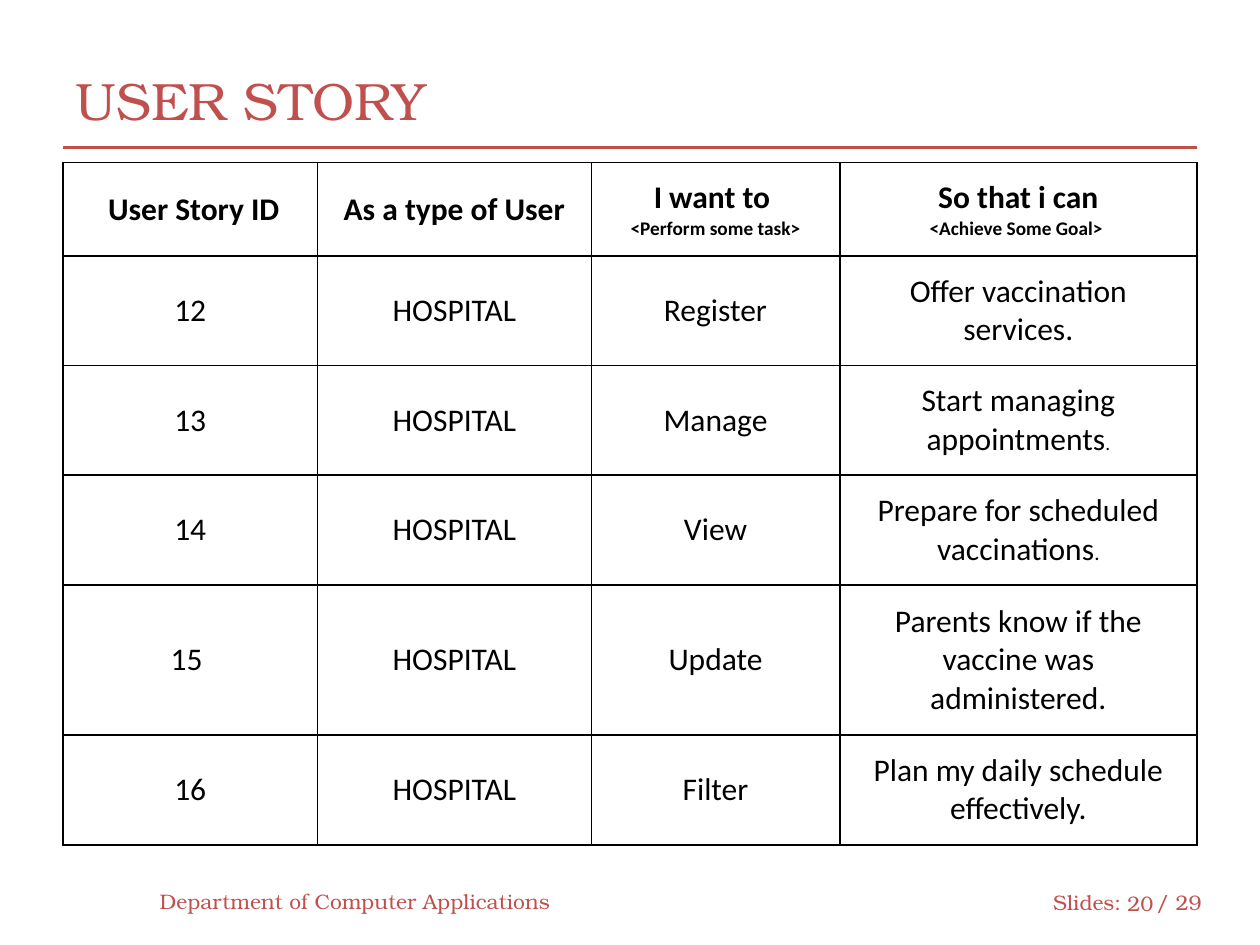
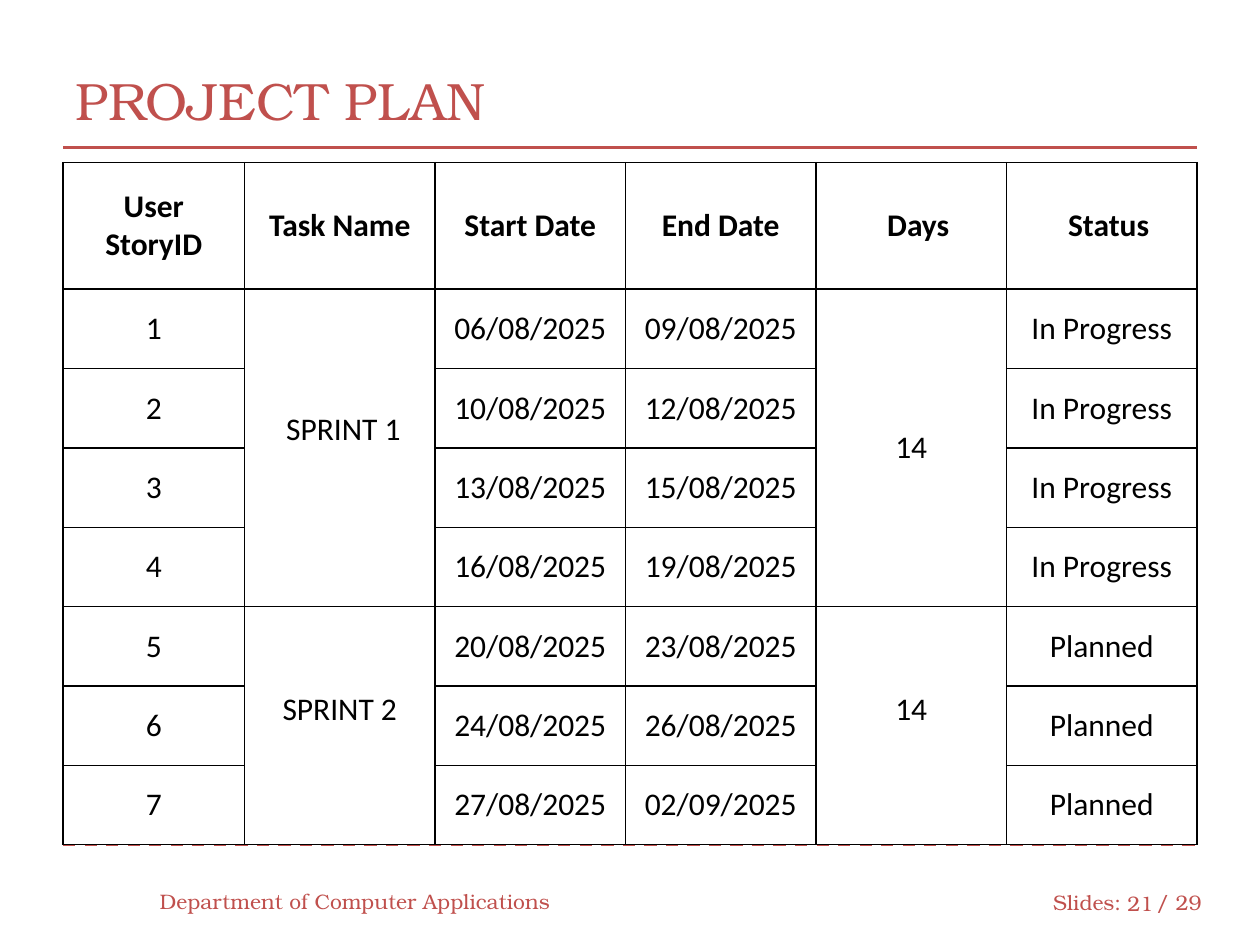
from dataclasses import dataclass

from lxml.etree import SubElement
from pptx import Presentation
from pptx.dml.color import RGBColor
from pptx.enum.dml import MSO_LINE
from pptx.enum.shapes import MSO_CONNECTOR
from pptx.enum.text import MSO_ANCHOR, PP_ALIGN
from pptx.oxml.ns import qn
from pptx.util import Cm, Pt


@dataclass(frozen=True)
class Theme:
    """Colours, fonts and type sizes shared by the slides."""

    accent: str = "C0504D"
    ink: str = "000000"
    paper: str = "FFFFFF"
    display_font: str = "TeX Gyre Bonum"
    table_font: str = "Calibri"
    title_size: float = 30
    footer_size: float = 12
    cell_size: float = 18
    note_size: float = 11
    rule_width: float = 1.75
    border_width: float = 1


@dataclass(frozen=True)
class Box:
    """A region of the slide in centimetres."""

    left: float
    top: float
    width: float
    height: float

    def lengths(self):
        """Return the region as lengths for python-pptx."""
        return Cm(self.left), Cm(self.top), Cm(self.width), Cm(self.height)


@dataclass(frozen=True)
class Cell:
    """Table cell text with optional small parts and optical offsets."""

    text: str
    note: str = ""
    tail: str = ""
    tail_size: float = 11
    indent: float = 0
    lift: float = 0
    rows: int = 1


THEME = Theme()
TITLE = Box(1.27, 0.84, 22.86, 2.34)
TABLE = Box(1.27, 3.28, 22.86, 13.75)
FOOTER = Box(1.27, 17.02, 22.86, 2.03)
TITLE_RULE_TOP = 2.97
CELL_MARGIN = 0.25
TOTAL_SLIDES = 29

STORY_COLUMNS = [5.13, 5.52, 5.01, 7.2]
STORY_ROWS = [1.88, 2.21, 2.21, 2.21, 3.03, 2.21]
STORY_HEADER = [
    Cell(" User Story ID"),
    Cell("As a type of User"),
    Cell("I want to ", note="<Perform some task>"),
    Cell("So that i can", note="<Achieve Some Goal> "),
]
STORIES = [
    ("12", "Register", Cell("Offer vaccination services.")),
    ("13", "Manage", Cell("Start managing appointments", tail=".")),
    ("14", "View", Cell("Prepare for scheduled vaccinations", tail=".", tail_size=12)),
    ("15 ", "Update", Cell("Parents know if the vaccine was administered.")),
    ("16", "Filter", Cell("Plan my daily schedule effectively.")),
]

PLAN_COLUMNS = [3.66] + [3.84] * 5
PLAN_ROWS = [2.55] + [1.6] * 7
PLAN_HEADER = [
    Cell("User\nStoryID"),
    Cell("Task Name"),
    Cell("Start Date"),
    Cell("End Date"),
    Cell("Days", indent=0.28),
    Cell("Status", indent=0.28),
]
SPRINTS = [
    (
        Cell(" SPRINT 1", lift=0.74, rows=4),
        Cell("14", rows=4),
        "In Progress",
        [
            ("06/08/2025", "09/08/2025"),
            ("10/08/2025", "12/08/2025"),
            ("13/08/2025", "15/08/2025"),
            ("16/08/2025", "19/08/2025"),
        ],
    ),
    (
        Cell("SPRINT 2", lift=0.65, rows=3),
        Cell("14", lift=0.65, rows=3),
        "Planned",
        [
            ("20/08/2025", "23/08/2025"),
            ("24/08/2025", "26/08/2025"),
            ("27/08/2025", "02/09/2025"),
        ],
    ),
]


def write_text(paragraph, text, *, size, font=THEME.display_font,
               color=THEME.accent, bold=False, align=PP_ALIGN.LEFT):
    """Append one formatted run to a paragraph."""
    paragraph.alignment = align
    run = paragraph.add_run()
    run.text = text
    run.font.size = Pt(size)
    run.font.name = font
    run.font.bold = bold
    run.font.color.rgb = RGBColor.from_string(color)


def add_label(slide, box, text, align=PP_ALIGN.LEFT):
    """Add a footer label in the given box."""
    frame = slide.shapes.add_textbox(*box.lengths()).text_frame
    frame.word_wrap = True
    frame.vertical_anchor = MSO_ANCHOR.MIDDLE
    write_text(frame.paragraphs[0], text, size=THEME.footer_size, align=align)


def add_rule(slide, box, top, dash=None):
    """Draw a horizontal rule across the width of a box."""
    rule = slide.shapes.add_connector(
        MSO_CONNECTOR.STRAIGHT,
        Cm(box.left), Cm(top), Cm(box.left + box.width), Cm(top),
    )
    rule.line.color.rgb = RGBColor.from_string(THEME.accent)
    rule.line.width = Pt(THEME.rule_width)
    if dash is not None:
        rule.line.dash_style = dash
    SubElement(rule._element.spPr, qn("a:effectLst"))


def add_heading(slide, box, text):
    """Fill the title placeholder and underline it."""
    title = slide.shapes.title
    title.left, title.top, title.width, title.height = box.lengths()
    title.text_frame.vertical_anchor = MSO_ANCHOR.MIDDLE
    write_text(title.text_frame.paragraphs[0], text, size=THEME.title_size)
    add_rule(slide, box, TITLE_RULE_TOP)


def add_footer(slide, box, number):
    """Place the dashed rule, department and slide count."""
    add_rule(slide, box, box.top, MSO_LINE.DASH)
    labels = [
        (1.7, 0.63, 8.46, "Department of Computer Applications", PP_ALIGN.LEFT),
        (19.71, 0.66, 1.91, "Slides:", PP_ALIGN.LEFT),
        (21.16, 0.68, 1.07, str(number), PP_ALIGN.RIGHT),
        (21.79, 0.66, 1.47, f"/ {TOTAL_SLIDES}", PP_ALIGN.LEFT),
    ]
    for left, top, width, text, align in labels:
        add_label(slide, Box(box.left + left, box.top + top, width, 1.02), text, align)


def style_cell(cell):
    """Give a table cell thin borders and a plain fill."""
    properties = cell._tc.get_or_add_tcPr()
    for side in ("lnL", "lnR", "lnT", "lnB"):
        line = SubElement(properties, qn(f"a:{side}"), w=str(Pt(THEME.border_width)))
        fill = SubElement(line, qn("a:solidFill"))
        SubElement(fill, qn("a:srgbClr"), val=THEME.ink)
    cell.fill.solid()
    cell.fill.fore_color.rgb = RGBColor.from_string(THEME.paper)


def fill_cell(cell, content, bold):
    """Write the content of one table cell."""
    cell.vertical_anchor = MSO_ANCHOR.MIDDLE
    cell.margin_left = Cm(CELL_MARGIN + content.indent)
    cell.margin_right = cell.margin_top = Cm(CELL_MARGIN)
    cell.margin_bottom = Cm(CELL_MARGIN + content.lift)
    style = dict(font=THEME.table_font, color=THEME.ink, bold=bold, align=PP_ALIGN.CENTER)
    frame = cell.text_frame
    paragraph = frame.paragraphs[0]
    for index, line in enumerate(content.text.split("\n")):
        if index:
            paragraph = frame.add_paragraph()
        write_text(paragraph, line, size=THEME.cell_size, **style)
    if content.tail:
        write_text(paragraph, content.tail, size=content.tail_size, **style)
    if content.note:
        write_text(frame.add_paragraph(), content.note, size=THEME.note_size, **style)


def add_grid(slide, box, widths, heights, rows):
    """Add a bordered table with a bold first row; None marks a spanned cell."""
    table = slide.shapes.add_table(len(heights), len(widths), *box.lengths()).table
    table.horz_banding = False
    for column, width in zip(table.columns, widths):
        column.width = Cm(width)
    for row, height in zip(table.rows, heights):
        row.height = Cm(height)
    for row_index, row in enumerate(rows):
        for column_index, content in enumerate(row):
            cell = table.cell(row_index, column_index)
            style_cell(cell)
            if content is None:
                continue
            if content.rows > 1:
                cell.merge(table.cell(row_index + content.rows - 1, column_index))
            fill_cell(cell, content, bold=row_index == 0)


def story_rows():
    """Return the rows of the user story table."""
    return [STORY_HEADER] + [
        [Cell(story), Cell("HOSPITAL"), Cell(task), goal] for story, task, goal in STORIES
    ]


def plan_rows():
    """Return the rows of the project plan, numbering the stories."""
    rows = [PLAN_HEADER]
    for sprint, days, status, dates in SPRINTS:
        for index, (start, end) in enumerate(dates):
            first = index == 0
            rows.append([
                Cell(str(len(rows))), sprint if first else None, Cell(start), Cell(end),
                days if first else None, Cell(status),
            ])
    return rows


def add_table_slide(presentation, number, title, widths, heights, rows):
    """Build a slide with a heading, a table and the shared footer."""
    slide = presentation.slides.add_slide(presentation.slide_layouts[5])
    add_heading(slide, TITLE, title)
    add_footer(slide, FOOTER, number)
    add_grid(slide, TABLE, widths, heights, rows)


def main():
    """Build and save the presentation."""
    presentation = Presentation()
    presentation.slide_width, presentation.slide_height = Cm(25.4), Cm(19.05)
    add_table_slide(presentation, 20, "USER STORY", STORY_COLUMNS, STORY_ROWS, story_rows())
    add_table_slide(presentation, 21, "PROJECT PLAN", PLAN_COLUMNS, PLAN_ROWS, plan_rows())
    presentation.save("out.pptx")


if __name__ == "__main__":
    main()
